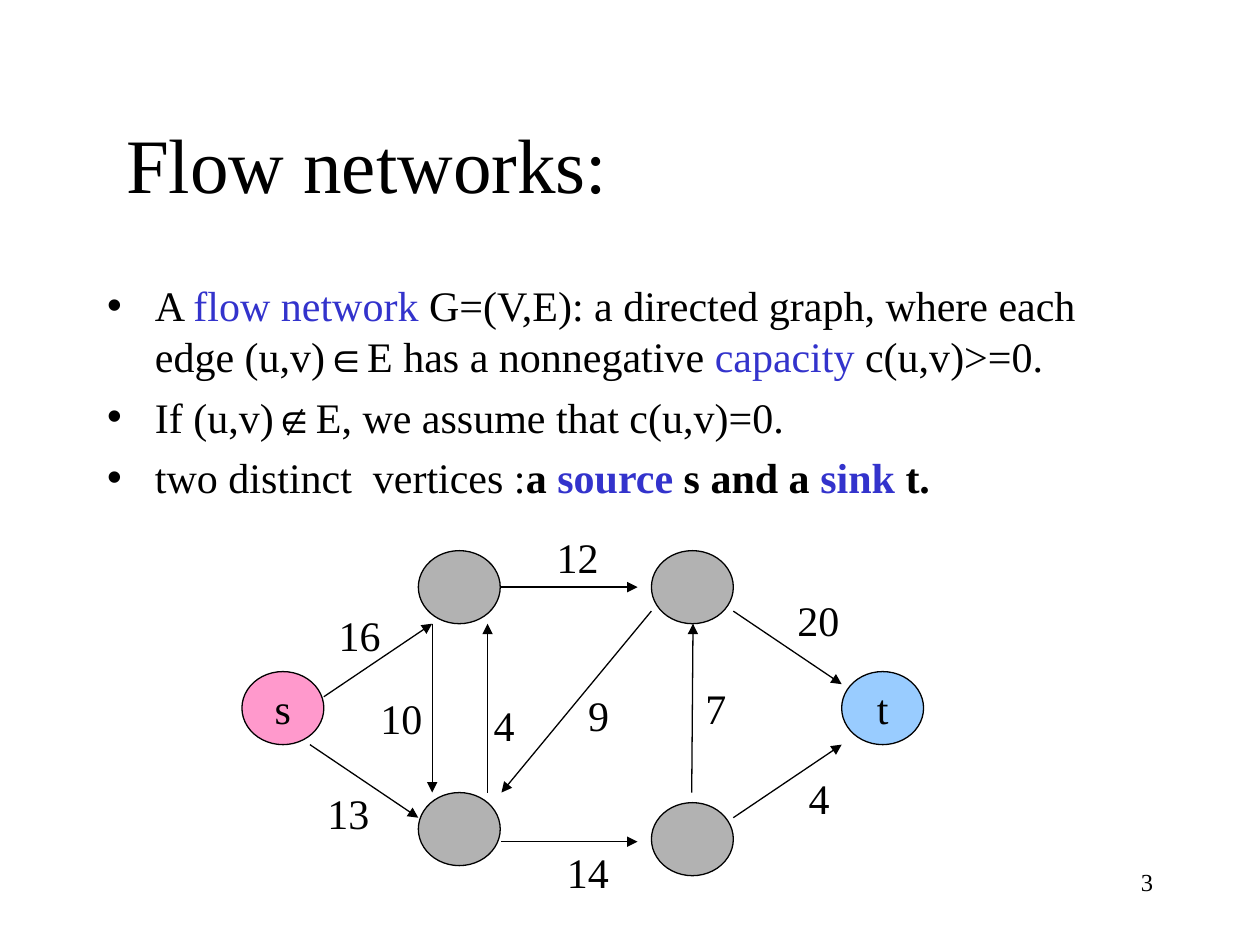
from lxml.etree import SubElement
from pptx import Presentation
from pptx.dml.color import RGBColor
from pptx.enum.shapes import MSO_CONNECTOR, MSO_SHAPE
from pptx.enum.text import MSO_ANCHOR, MSO_AUTO_SIZE, PP_ALIGN
from pptx.oxml.ns import qn
from pptx.util import Inches, Pt

HUES = {"ink": "000000", "key": "3333CC", "grey": "B2B2B2",
        "pink": "FF99CC", "sky": "99CCFF"}
FACE = "Times New Roman"
TITLE = "Flow networks:"
ITEMS = [
    [("A ", ""), ("flow network", "key"),
     (" G=(V,E): a directed graph, where each edge (u,v)", ""),
     ("∈", "sign"), ("E has a nonnegative ", ""),
     ("capacity", "key"), (" c(u,v)>=0.", "")],
    [("If (u,v)", ""), ("∉", "sign"), ("E, we assume that c(u,v)=0.", "")],
    [("two distinct  vertices :", ""), ("a ", "bold"),
     ("source", "bold key"), (" s and a ", "bold"),
     ("sink", "bold key"), (" t.", "bold")],
]
NODES = [
    ("s", "pink", 1.92, 5.33), ("", "grey", 3.32, 6.29),
    ("", "grey", 5.17, 6.37), ("t", "sky", 6.68, 5.33),
    ("", "grey", 5.17, 4.37), ("", "grey", 3.32, 4.37),
]
EDGES = [
    ("16", (2.57, 5.53), (3.43, 4.95), (2.59, 4.79)),
    ("13", (2.46, 5.91), (3.32, 6.49), (2.5, 6.2)),
    ("10", (3.43, 4.95), (3.43, 6.29), (2.92, 5.45)),
    ("4", (3.87, 6.29), (3.87, 4.95), (3.82, 5.5)),
    ("12", (3.98, 4.66), (5.06, 4.66), (4.32, 4.17)),
    ("14", (3.98, 6.68), (5.06, 6.68), (4.4, 6.67)),
    ("20", (5.82, 4.85), (6.68, 5.43), (6.23, 4.67)),
    ("4", (5.82, 6.49), (6.68, 5.91), (6.32, 6.08)),
    ("7", (5.49, 6.29), (5.5, 4.95), (5.5, 5.37)),
    ("9", (5.17, 4.85), (3.98, 6.29), (4.57, 5.42)),
]


def tint(name):
    return RGBColor.from_string(HUES[name])


def style(run, size=24, hue="ink", face=FACE):
    run.font.size, run.font.name = Pt(size), face
    run.font.color.rgb = tint(hue)


def place(shape, *box):
    shape.left, shape.top, shape.width, shape.height = map(Inches, box)


def write(shape, text, size=24, align=PP_ALIGN.LEFT):
    frame = shape.text_frame
    frame.text = text
    para = frame.paragraphs[0]
    para.alignment = align
    style(para.runs[0], size)
    return frame


def add_title(slide):
    shape = slide.shapes.title
    place(shape, 0.75, 0.67, 8.5, 1.25)
    frame = write(shape, TITLE, 44)
    frame.margin_left = Inches(0.25)
    frame.vertical_anchor = MSO_ANCHOR.MIDDLE
    frame.auto_size = MSO_AUTO_SIZE.NONE


def add_list(slide):
    shape = slide.placeholders[1]
    place(shape, 0.75, 2.17, 8.5, 4.5)
    frame = shape.text_frame
    frame.auto_size = MSO_AUTO_SIZE.NONE
    for i, item in enumerate(ITEMS):
        para = frame.add_paragraph() if i else frame.paragraphs[0]
        props = para._p.get_or_add_pPr()
        props.set("marL", str(Inches(0.38)))
        props.set("indent", str(-Inches(0.38)))
        para.space_before = Pt(6 if i else 0)
        for text, look in item:
            run = para.add_run()
            run.text = text
            style(run, hue="key" if "key" in look else "ink",
                  face="Arial" if look == "sign" else FACE)
            run.font.bold = "bold" in look


def add_node(slide, name, hue, x, y):
    shape = slide.shapes.add_shape(
        MSO_SHAPE.OVAL, *map(Inches, (x, y, 0.65, 0.58)))
    shape.shadow.inherit = False
    shape.fill.solid()
    shape.fill.fore_color.rgb = tint(hue)
    shape.line.color.rgb = tint("ink")
    shape.line.width = Pt(0.75)
    if name:
        frame = write(shape, name, align=PP_ALIGN.CENTER)
        frame.vertical_anchor = MSO_ANCHOR.MIDDLE
        frame.word_wrap = False


def add_arrow(slide, start, end):
    line = slide.shapes.add_connector(
        MSO_CONNECTOR.STRAIGHT, *map(Inches, start + end))
    line.line.color.rgb = tint("ink")
    line.line.width = Pt(0.75)
    SubElement(line.line._get_or_add_ln(), qn("a:tailEnd"), type="triangle")
    SubElement(line._element.spPr, qn("a:effectLst"))


def add_text(slide, text, x, y, wide, **look):
    box = slide.shapes.add_textbox(*map(Inches, (x, y, wide, 0.5)))
    return write(box, text, **look)


def main():
    """Build the flow network slide."""
    deck = Presentation()
    deck.slide_width, deck.slide_height = Inches(10), Inches(7.5)
    slide = deck.slides.add_slide(deck.slide_layouts[1])
    add_title(slide)
    add_list(slide)
    for node in NODES:
        add_node(slide, *node)
    for _, start, end, _ in EDGES:
        add_arrow(slide, start, end)
    for label, _, _, spot in EDGES:
        frame = add_text(slide, label, *spot, 0.19 + 0.17 * len(label))
        frame.word_wrap = False
        frame.auto_size = MSO_AUTO_SIZE.SHAPE_TO_FIT_TEXT
    frame = add_text(slide, "3", 7.17, 6.83, 2.08,
                     size=14, align=PP_ALIGN.RIGHT)
    frame.word_wrap = True
    deck.save("out.pptx")


if __name__ == "__main__":
    main()
